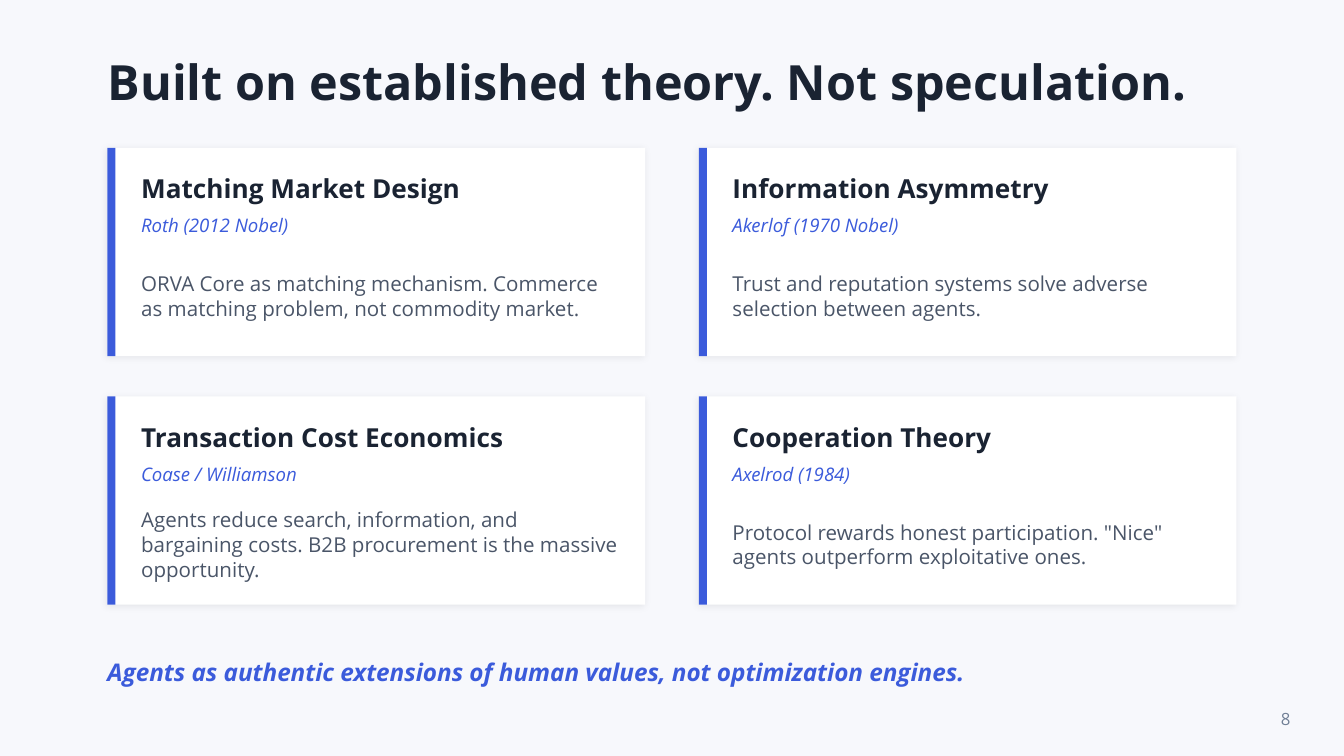
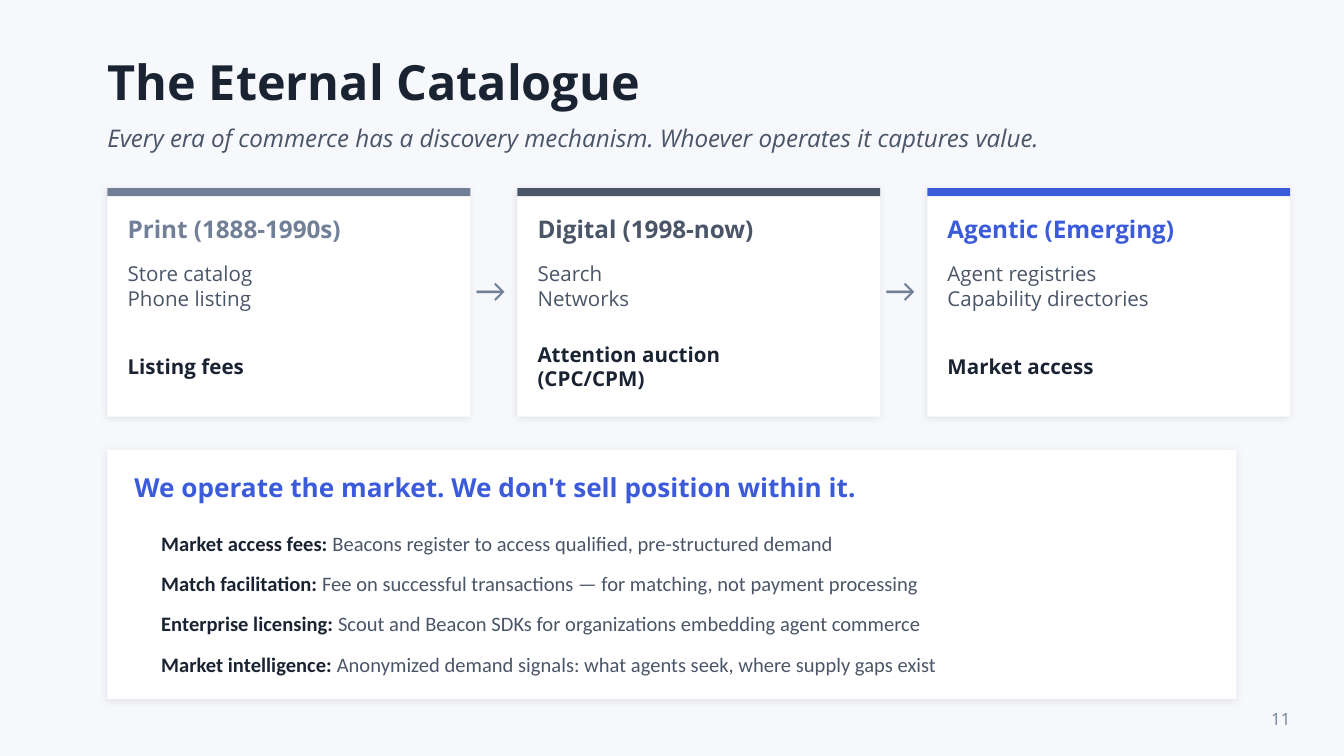
from dataclasses import dataclass
from typing import NamedTuple

from lxml.etree import SubElement
from pptx import Presentation
from pptx.dml.color import RGBColor
from pptx.enum.shapes import MSO_SHAPE as SHAPE
from pptx.enum.text import MSO_ANCHOR as ANCHOR, MSO_AUTO_SIZE as AUTO, PP_ALIGN as ALIGN
from pptx.oxml.ns import qn
from pptx.shapes.autoshape import Shape
from pptx.slide import Slide
from pptx.text.text import TextFrame, _Run as Run
from pptx.util import Pt

PAPER = RGBColor(0xF7, 0xF8, 0xFC)
WHITE = RGBColor(0xFF, 0xFF, 0xFF)
BLACK = RGBColor(0x00, 0x00, 0x00)
INK = RGBColor(0x1A, 0x23, 0x32)
SLATE = RGBColor(0x4A, 0x55, 0x68)
GREY = RGBColor(0x71, 0x80, 0x96)
BLUE = RGBColor(0x3B, 0x5B, 0xDB)

LEFT, WIDTH = 57.6, 604.8
BAND = 4.32
TITLE_ONLY = 5


class Box(NamedTuple):
    x: float
    y: float
    w: float
    h: float


class Style(NamedTuple):
    size: float
    color: RGBColor
    bold: bool = False
    italic: bool = False
    font: str = "Open Sans"


TITLE = Style(26, INK, bold=True)
SUBTITLE = Style(13, SLATE, italic=True)
CLOSING = Style(13, BLUE, bold=True, italic=True)
CARD_HEAD = Style(14, INK, bold=True)
PANEL_HEAD = Style(14, BLUE, bold=True)
SOURCE = Style(10, BLUE, italic=True)
BODY = Style(11, SLATE)
MODEL = Style(11, INK, bold=True)
ARROW = Style(18, GREY, font="Calibri")
TERM = Style(11, INK, bold=True, font="Calibri")
DETAIL = Style(11, SLATE, font="Calibri")
PAGE = Style(9, GREY)


@dataclass
class Theory:
    """A theory card."""
    name: str
    source: str
    claim: str


@dataclass
class Era:
    """An era of commerce with its discovery channels and revenue model."""
    name: str
    channels: str
    model: str
    color: RGBColor


@dataclass
class Revenue:
    """A revenue line: term and explanation."""
    term: str
    detail: str


THEORIES = [
    Theory("Matching Market Design", "Roth (2012 Nobel)",
           "ORVA Core as matching mechanism. Commerce as matching problem, not commodity market."),
    Theory("Information Asymmetry", "Akerlof (1970 Nobel)",
           "Trust and reputation systems solve adverse selection between agents."),
    Theory("Transaction Cost Economics", "Coase / Williamson",
           "Agents reduce search, information, and bargaining costs. "
           "B2B procurement is the massive opportunity."),
    Theory("Cooperation Theory", "Axelrod (1984)",
           'Protocol rewards honest participation. "Nice" agents outperform exploitative ones.'),
]
ERAS = [
    Era("Print (1888-1990s)", "Store catalog\nPhone listing", "Listing fees", GREY),
    Era("Digital (1998-now)", "Search\nNetworks", "Attention auction\n(CPC/CPM)", SLATE),
    Era("Agentic (Emerging)", "Agent registries\nCapability directories", "Market access", BLUE),
]
REVENUES = [
    Revenue("Market access fees: ", "Beacons register to access qualified, pre-structured demand"),
    Revenue("Match facilitation: ",
            "Fee on successful transactions — for matching, not payment processing"),
    Revenue("Enterprise licensing: ",
            "Scout and Beacon SDKs for organizations embedding agent commerce"),
    Revenue("Market intelligence: ",
            "Anonymized demand signals: what agents seek, where supply gaps exist"),
]


def style_run(r: Run, style: Style) -> None:
    """Apply a text style to a run."""
    f = r.font
    f.size, f.name, f.bold, f.italic = Pt(style.size), style.font, style.bold, style.italic
    f.color.rgb = style.color


def fill_frame(tf: TextFrame, text: str, style: Style, align: ALIGN = ALIGN.LEFT,
               inset: float = 0) -> None:
    """Set the text of a frame, one paragraph per line, and format it."""
    tf.word_wrap, tf.auto_size, tf.vertical_anchor = True, AUTO.NONE, ANCHOR.MIDDLE
    tf.margin_left = tf.margin_right = Pt(inset)
    tf.margin_top = tf.margin_bottom = Pt(inset / 2)
    tf.text = text
    for p in tf.paragraphs:
        p.alignment = align
        for r in p.runs:
            style_run(r, style)


def add_text(s: Slide, box: Box, text: str, style: Style, align: ALIGN = ALIGN.LEFT,
             inset: float = 0) -> TextFrame:
    """Add a text box and return its frame."""
    tf = s.shapes.add_textbox(*map(Pt, box)).text_frame
    fill_frame(tf, text, style, align, inset)
    return tf


def add_rect(s: Slide, box: Box, color: RGBColor) -> Shape:
    """Add a plain rectangle without outline or shadow."""
    sp = s.shapes.add_shape(SHAPE.RECTANGLE, *map(Pt, box))
    sp.fill.solid()
    sp.fill.fore_color.rgb = color
    sp.line.fill.background()
    sp.shadow.inherit = False
    return sp


def add_panel(s: Slide, box: Box) -> None:
    """Add a white rectangle with a soft shadow."""
    sp = add_rect(s, box, WHITE)
    effects = sp.element.spPr.find(qn("a:effectLst"))
    shadow = SubElement(effects, qn("a:outerShdw"), blurRad=str(Pt(4)), dist=str(Pt(1)),
                        dir=str(135 * 60000), algn="bl", rotWithShape="0")
    color = SubElement(shadow, qn("a:srgbClr"), val=str(BLACK))
    SubElement(color, qn("a:alpha"), val="8000")


def add_slide(prs: Presentation, title: str, page: int) -> Slide:
    """Add a slide with its title and page number."""
    s = prs.slides.add_slide(prs.slide_layouts[TITLE_ONLY])
    sp = s.shapes.title
    sp.left, sp.top, sp.width, sp.height = map(Pt, Box(LEFT, 21.6, WIDTH, 43.2))
    fill_frame(sp.text_frame, title, TITLE)
    add_text(s, Box(662.4, 374.4, 36, 21.6), str(page), PAGE, ALIGN.RIGHT, inset=7.2)
    return s


def add_theory(s: Slide, theory: Theory, x: float, y: float) -> None:
    """Draw a theory card with a band on its left edge."""
    w, h = 288, 111.6
    add_panel(s, Box(x, y, w, h))
    add_rect(s, Box(x, y, BAND, h), BLUE)
    text_x, text_w = x + 18, w - 32.4
    add_text(s, Box(text_x, y + 10.8, text_w, 21.6), theory.name, CARD_HEAD)
    add_text(s, Box(text_x, y + 32.4, text_w, 18), theory.source, SOURCE)
    add_text(s, Box(text_x, y + 54, text_w, 50.4), theory.claim, BODY)


def add_era(s: Slide, era: Era, x: float, y: float, w: float) -> None:
    """Draw an era card with a band on its top edge."""
    add_panel(s, Box(x, y, w, 122.4))
    add_rect(s, Box(x, y, w, BAND), era.color)
    text_x, text_w = x + 10.8, w - 21.6
    add_text(s, Box(text_x, y + 10.8, text_w, 21.6), era.name, Style(13, era.color, bold=True))
    add_text(s, Box(text_x, y + 36, text_w, 32.4), era.channels, BODY)
    add_text(s, Box(text_x, y + 79.2, text_w, 32.4), era.model, MODEL)


def build_theory_slide(prs: Presentation) -> None:
    """Build the slide of four theory cards."""
    s = add_slide(prs, "Built on established theory. Not speculation.", 8)
    for i, theory in enumerate(THEORIES):
        row, col = divmod(i, 2)
        add_theory(s, theory, LEFT + col * 316.8, 79.2 + row * 133.2)
    add_text(s, Box(LEFT, 342, WIDTH, 36),
             "Agents as authentic extensions of human values, not optimization engines.", CLOSING)


def build_catalogue_slide(prs: Presentation) -> None:
    """Build the slide of three eras and the revenue panel."""
    s = add_slide(prs, "The Eternal Catalogue", 11)
    add_text(s, Box(LEFT, 61.2, WIDTH, 25.2),
             "Every era of commerce has a discovery mechanism. Whoever operates it captures value.",
             SUBTITLE)
    era_w, era_step, era_y = 194.4, 219.6, 100.8
    for i, era in enumerate(ERAS):
        x = LEFT + i * era_step
        add_era(s, era, x, era_y, era_w)
        if i < len(ERAS) - 1:
            add_text(s, Box(x + era_w, era_y + 36, 21.6, 36), "→", ARROW, ALIGN.CENTER)

    add_panel(s, Box(LEFT, 241.2, WIDTH, 133.2))
    add_text(s, Box(72, 248.4, 576, 25.2),
             "We operate the market. We don't sell position within it.", PANEL_HEAD)
    for i, revenue in enumerate(REVENUES):
        tf = add_text(s, Box(86.4, 280.8 + i * 21.6, 561.6, 20.16), revenue.term, TERM)
        r = tf.paragraphs[0].add_run()
        r.text = revenue.detail
        style_run(r, DETAIL)


def main() -> None:
    """Build and save the presentation."""
    prs = Presentation()
    prs.slide_width, prs.slide_height = Pt(720), Pt(405)
    fill = prs.slide_master.background.fill
    fill.solid()
    fill.fore_color.rgb = PAPER
    build_theory_slide(prs)
    build_catalogue_slide(prs)
    prs.save("out.pptx")


if __name__ == "__main__":
    main()
